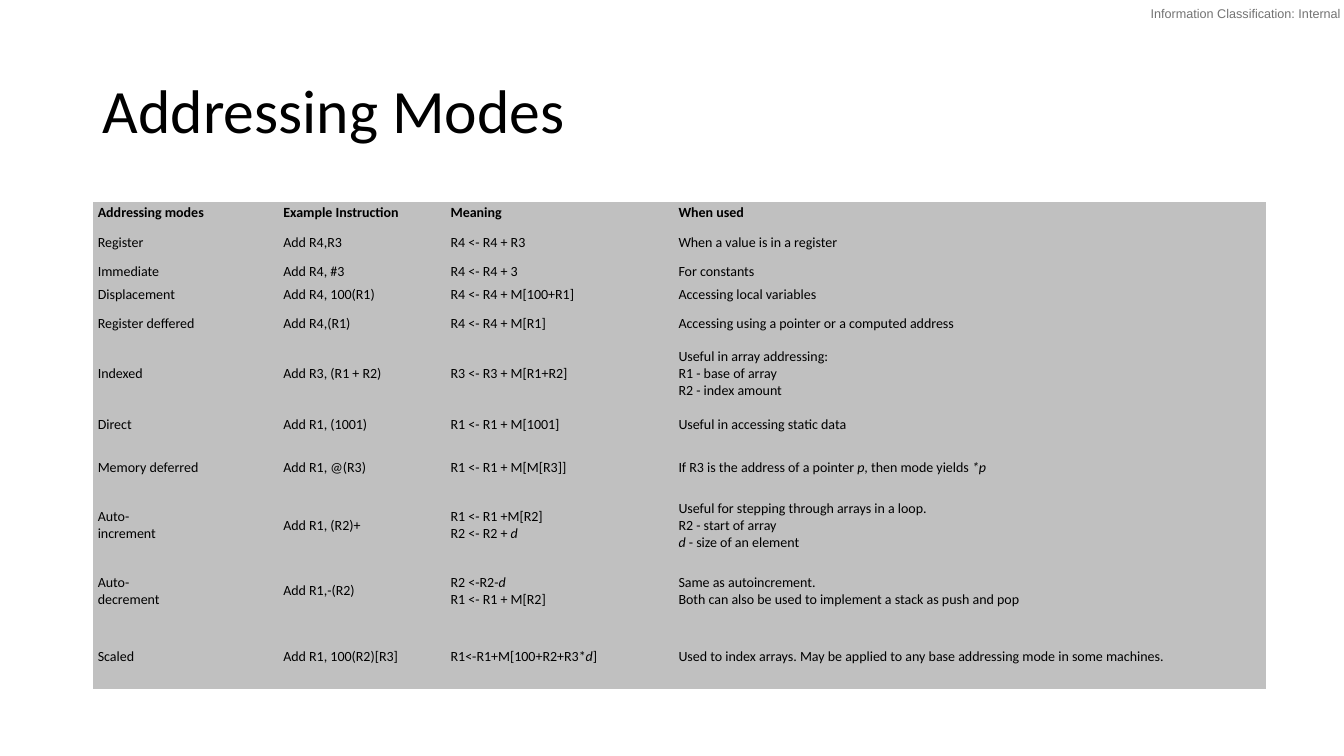
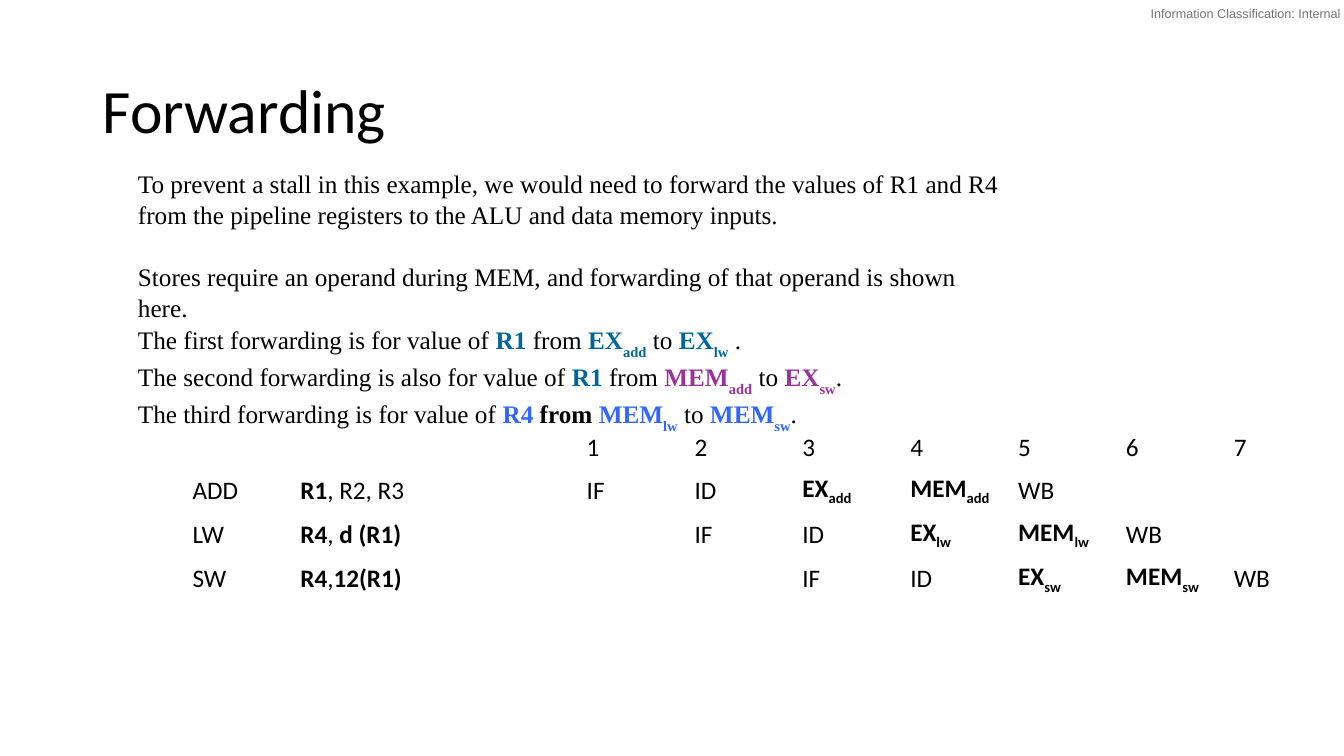
import pptx
import pptx.dml.color
import pptx.enum.text
import pptx.oxml.ns
import pptx.util

Inches = pptx.util.Inches
Pt = pptx.util.Pt
RGBColor = pptx.dml.color.RGBColor
MIDDLE = pptx.enum.text.MSO_ANCHOR.MIDDLE
ALIGN = pptx.enum.text.PP_ALIGN
NO_AUTOSIZE = pptx.enum.text.MSO_AUTO_SIZE.NONE

BLACK = RGBColor(0x00, 0x00, 0x00)
LABEL_GREY = RGBColor(0x73, 0x73, 0x73)
TABLE_GREY = RGBColor(0xC0, 0xC0, 0xC0)
TEAL = RGBColor(0x00, 0x66, 0x99)
PURPLE = RGBColor(0x99, 0x33, 0x99)
BLUE = RGBColor(0x33, 0x66, 0xFF)

SANS = "Calibri"
SERIF = "Times New Roman"
PLAIN_TABLE_STYLE = "{2D5ABB26-0587-4C30-8999-92F81FD0307C}"

TITLE_BOX = (0.92, 0.4, 11.5, 1.45)
LABEL_BOX = (11.09, 0, 2.24, 0.26)
MODES_POSITION = (0.92, 2)
EXPLANATION_BOX = (1.27, 1.72, 8.79, 2.52)
PIPELINE_POSITION = (1.81, 4.24)

MODE_COLUMNS = [1.84, 1.66, 2.26, 5.88]
MODE_ROWS = [0.22, 0.35, 0.22, 0.22, 0.35, 0.65, 0.35, 0.5, 0.65, 0.65, 0.65]
MODES = [
    ("Addressing modes", "Example Instruction", "Meaning", "When used"),
    ("Register", "Add R4,R3", "R4 <- R4 + R3", "When a value is in a register"),
    ("Immediate", "Add R4, #3", "R4 <- R4 + 3", "For constants"),
    ("Displacement", "Add R4, 100(R1)", "R4 <- R4 + M[100+R1]", "Accessing local variables"),
    ("Register deffered", "Add R4,(R1)", "R4 <- R4 + M[R1]",
     "Accessing using a pointer or a computed address"),
    ("Indexed", "Add R3, (R1 + R2)", "R3 <- R3 + M[R1+R2]",
     "Useful in array addressing:\nR1 - base of array\nR2 - index amount"),
    ("Direct", "Add R1, (1001)", "R1 <- R1 + M[1001]", "Useful in accessing static data"),
    ("Memory deferred", "Add R1, @(R3)", "R1 <- R1 + M[M[R3]]",
     "If R3 is the address of a pointer _p_, then mode yields _*p_"),
    ("Auto-\nincrement", "Add R1, (R2)+", "R1 <- R1 +M[R2]\nR2 <- R2 + _d_",
     "Useful for stepping through arrays in a loop.\nR2 - start of array\n_d_ - size of an element"),
    ("Auto-\ndecrement", "Add R1,-(R2)", "R2 <-R2-_d_\nR1 <- R1 + M[R2]",
     "Same as autoincrement.\nBoth can also be used to implement a stack as push and pop"),
    ("Scaled", "Add R1, 100(R2)[R3]", "R1<-R1+M[100+R2+R3*_d_]",
     "Used to index arrays. May be applied to any base addressing mode in some machines."),
]

EXPLANATION = [
    "To prevent a stall in this example, we would need to forward the values of R1 and R4 "
    "from the pipeline registers to the ALU and data memory inputs.",
    "Stores require an operand during MEM, and forwarding of that operand is shown here.",
]
FORWARDINGS = [
    ("The first forwarding is for value of ", ("R1", TEAL), (" from ", False),
     ("EX", "add", TEAL), ("EX", "lw", TEAL), " ."),
    ("The second forwarding is also for value of ", ("R1", TEAL), (" from ", False),
     ("MEM", "add", PURPLE), ("EX", "sw", PURPLE), "."),
    ("The third forwarding is for value of ", ("R4", BLUE), (" from ", True),
     ("MEM", "lw", BLUE), ("MEM", "sw", BLUE), "."),
]

PIPELINE_COLUMNS = [1.07, 2.84] + [1.07] * 7
PIPELINE_ROWS = [0.4] * 4
INSTRUCTIONS = [
    ("ADD", [("R1", True), (", R2, R3", False)]),
    ("LW", [("R4", True), (", ", False), ("d (R1)", True)]),
    ("SW", [("R4", True), (",", False), ("12(R1)", True)]),
]


def add_run(paragraph, text, size, font=SANS, color=BLACK, bold=False, italic=False, subscript=0):
    """Add one formatted run; subscript is the drop in percent."""
    run = paragraph.add_run()
    run.text = text
    run.font.name = font
    run.font.size = Pt(size)
    run.font.color.rgb = color
    run.font.bold = bold
    run.font.italic = italic
    if subscript:
        run._r.get_or_add_rPr().set("baseline", str(-1000 * subscript))


def next_paragraph(frame, index):
    """Return the first paragraph of a frame, or a new one after it."""
    return frame.add_paragraph() if index else frame.paragraphs[0]


def add_text_box(slide, box, inset):
    """Add an empty wrapping text box and return its frame with the shape."""
    shape = slide.shapes.add_textbox(*map(Inches, box))
    frame = shape.text_frame
    frame.word_wrap = True
    frame.vertical_anchor = MIDDLE
    frame.margin_left = frame.margin_right = Inches(inset)
    frame.margin_top = frame.margin_bottom = Inches(inset / 2)
    return shape, frame


def add_titled_slide(presentation, title):
    """Add a title-only slide with the shared title style."""
    slide = presentation.slides.add_slide(presentation.slide_layouts[5])
    shape = slide.shapes.title
    shape.left, shape.top, shape.width, shape.height = map(Inches, TITLE_BOX)
    frame = shape.text_frame
    frame.auto_size = NO_AUTOSIZE
    frame.vertical_anchor = MIDDLE
    paragraph = frame.paragraphs[0]
    paragraph.alignment = ALIGN.LEFT
    paragraph.line_spacing = 0.9
    add_run(paragraph, title, 44)
    return slide


def add_master_label(presentation, slide):
    """Make the classification label and place it on the slide master."""
    shape, frame = add_text_box(slide, LABEL_BOX, 0)
    paragraph = frame.paragraphs[0]
    paragraph.alignment = ALIGN.RIGHT
    add_run(paragraph, " Information Classification: Internal ", 9, "Arial", LABEL_GREY)
    shape.element.nvSpPr.cNvPr.set("id", "20")
    presentation.slide_master.element.cSld.spTree.append(shape.element)


def add_plain_table(slide, position, columns, rows, fill=None):
    """Add an unstyled table with the given column widths and row heights."""
    size = (sum(columns), sum(rows))
    frame = slide.shapes.add_table(len(rows), len(columns), *map(Inches, position + size))
    for style in frame.element.iter(pptx.oxml.ns.qn("a:tableStyleId")):
        style.text = PLAIN_TABLE_STYLE
    table = frame.table
    table.first_row = table.horz_banding = False
    for column, width in zip(table.columns, columns):
        column.width = Inches(width)
    for row, height in zip(table.rows, rows):
        row.height = Inches(height)
    for cell in table.iter_cells():
        cell.vertical_anchor = MIDDLE
        if fill is None:
            cell.fill.background()
        else:
            cell.fill.solid()
            cell.fill.fore_color.rgb = fill
    return table


def add_modes_table(slide, position):
    """Fill the table of addressing modes; underscores enclose italics."""
    table = add_plain_table(slide, position, MODE_COLUMNS, MODE_ROWS, TABLE_GREY)
    for row_index, mode in enumerate(MODES):
        for column_index, text in enumerate(mode):
            cell = table.cell(row_index, column_index)
            cell.margin_left = cell.margin_right = Inches(0.05)
            cell.margin_top = cell.margin_bottom = Inches(0.03)
            for line_index, line in enumerate(text.split("\n")):
                paragraph = next_paragraph(cell.text_frame, line_index)
                for part_index, part in enumerate(line.split("_")):
                    if part:
                        add_run(paragraph, part, 10, bold=row_index == 0, italic=part_index % 2 == 1)


def add_explanation(slide, box):
    """Write the explanation and the three forwarding lines."""
    frame = add_text_box(slide, box, 0.1)[1]
    for index, text in enumerate(EXPLANATION):
        add_run(next_paragraph(frame, index), text, 18, SERIF)
    frame.paragraphs[0].space_after = Pt(21.7)
    for opening, (register, color), (link, link_bold), source, target, ending in FORWARDINGS:
        paragraph = frame.add_paragraph()
        add_run(paragraph, opening, 18, SERIF)
        add_run(paragraph, register, 18, SERIF, color, bold=True)
        add_run(paragraph, link, 18, SERIF, bold=link_bold)
        for (stage, instruction, stage_color), following in ((source, " to "), (target, ending)):
            add_run(paragraph, stage, 18, SERIF, stage_color, bold=True)
            add_run(paragraph, instruction, 18, SERIF, stage_color, bold=True, subscript=30)
            add_run(paragraph, following, 18, SERIF)
    for paragraph in frame.paragraphs:
        paragraph.line_spacing = 1.04


def add_pipeline_table(slide, position):
    """Fill the pipeline table, each instruction one cycle after the last."""
    table = add_plain_table(slide, position, PIPELINE_COLUMNS, PIPELINE_ROWS)

    def cell_paragraph(row, column):
        """Return the paragraph of one cell."""
        return table.cell(row, column).text_frame.paragraphs[0]

    for cycle in range(1, 8):
        add_run(cell_paragraph(0, cycle + 1), str(cycle), 18)
    for row, (name, operands) in enumerate(INSTRUCTIONS, 1):
        add_run(cell_paragraph(row, 0), name, 18)
        for text, bold in operands:
            add_run(cell_paragraph(row, 1), text, 18, bold=bold)
        for column, stage in enumerate(("IF", "ID", "EX", "MEM", "WB"), row + 1):
            paragraph = cell_paragraph(row, column)
            forwarded = stage in ("EX", "MEM")
            add_run(paragraph, stage, 18, bold=forwarded)
            if forwarded:
                add_run(paragraph, name.lower(), 18, bold=True, subscript=25)


def main():
    """Build both slides and save the presentation."""
    presentation = pptx.Presentation()
    presentation.slide_width = Inches(13.33)
    presentation.slide_height = Inches(7.5)

    modes_slide = add_titled_slide(presentation, "Addressing Modes")
    add_master_label(presentation, modes_slide)
    add_modes_table(modes_slide, MODES_POSITION)

    forwarding_slide = add_titled_slide(presentation, "Forwarding")
    add_pipeline_table(forwarding_slide, PIPELINE_POSITION)
    add_explanation(forwarding_slide, EXPLANATION_BOX)

    presentation.save("out.pptx")


if __name__ == "__main__":
    main()
